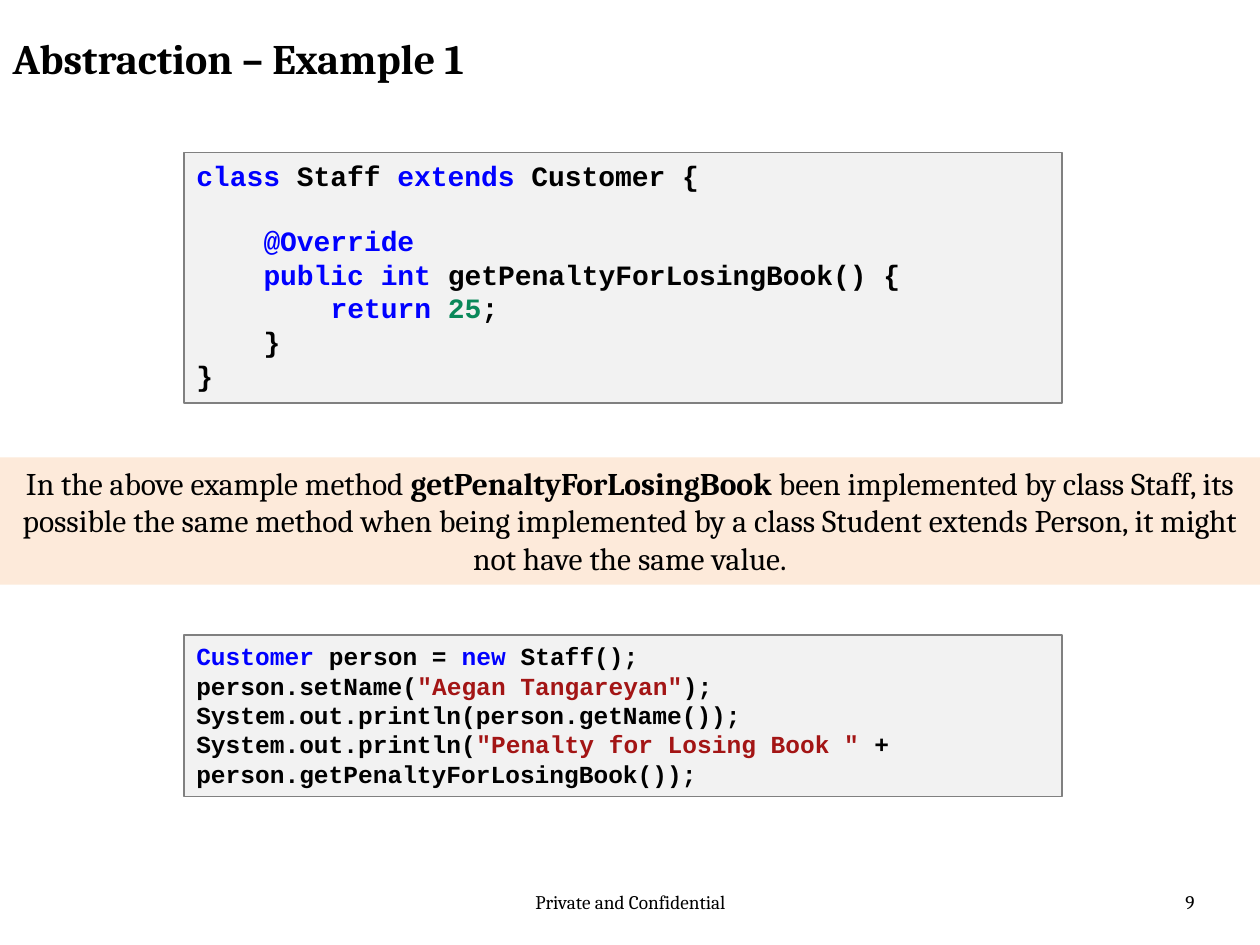
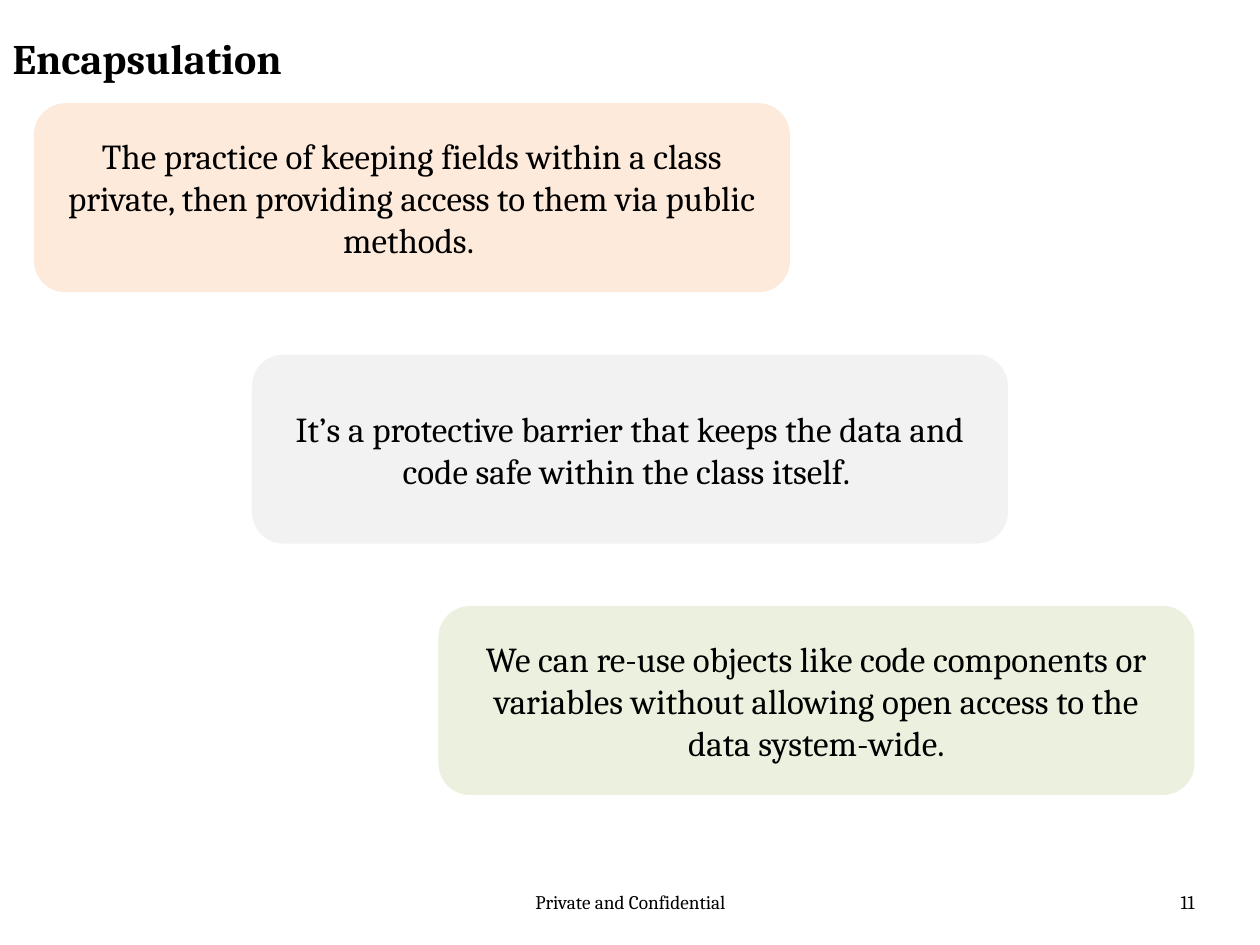
from pptx import Presentation
from pptx.dml.color import RGBColor
from pptx.enum.shapes import MSO_SHAPE as Shape
from pptx.enum.text import MSO_ANCHOR as Anchor, MSO_AUTO_SIZE as AutoSize, PP_ALIGN as Align
from pptx.util import Inches, Pt

WIDTH, HEIGHT = Inches(10), Inches(7.5)
TITLE_ONLY = 5

BLACK = RGBColor(0x00, 0x00, 0x00)
KEYWORD = RGBColor(0x00, 0x00, 0xFF)
NUMBER = RGBColor(0x09, 0x88, 0x5A)
STRING = RGBColor(0xA3, 0x15, 0x15)
PEACH = RGBColor(0xFD, 0xEA, 0xDA)
PALE_GREY = RGBColor(0xF2, 0xF2, 0xF2)
PALE_GREEN = RGBColor(0xEB, 0xF1, 0xDE)
BORDER = RGBColor(0x80, 0x80, 0x80)

BODY_FONT, CODE_FONT = "Cambria", "Courier New"
CODE_CHAR = 0.6  # width of one code character, as a share of the text size
TAB = 4  # characters per indent level

# Areas: left, top, width, height in percent of the slide
TITLE_AREA = (0, 2.27, 75.8, 8.27)
FOOTER_AREA = (34.2, 93.6, 31.7, 5.33)
PAGE_AREA = (72.5, 93.6, 23.3, 5.33)
CLASS_AREA = (14.6, 16.13, 69.7, 26.53)
USAGE_AREA = (14.6, 67.2, 69.7, 17.07)
REMARK_AREA = (0, 48.4, 100, 13.47)
CARD_TOP, CARD_STEP, CARD_WIDTH, CARD_HEIGHT = 10.93, 26.6, 60, 20

# Code lines: indent level, blank lines above, pieces of (text, colour)
CLASS_CODE = [
    (0, 0, [("class", KEYWORD), (" Staff ", BLACK), ("extends", KEYWORD), (" Customer {", BLACK)]),
    (1, 1, [("@Override", KEYWORD)]),
    (1, 0, [("public int", KEYWORD), (" getPenaltyForLosingBook() {", BLACK)]),
    (2, 0, [("return ", KEYWORD), ("25", NUMBER), (";", BLACK)]),
    (1, 0, [("}", BLACK)]),
    (0, 0, [("}", BLACK)]),
]
USAGE_CODE = [
    (0, 0, [("Customer", KEYWORD), (" person = ", BLACK), ("new", KEYWORD), (" Staff();", BLACK)]),
    (0, 0, [("person.setName(", BLACK), ('"Aegan Tangareyan"', STRING), (");", BLACK)]),
    (0, 0, [("System.out.println(person.getName());", BLACK)]),
    (0, 0, [("System.out.println(", BLACK), ('"Penalty for Losing Book "', STRING),
            (" + person.getPenaltyForLosingBook());", BLACK)]),
]
REMARK = [
    ("In the above example method ", False),
    ("getPenaltyForLosingBook ", True),
    ("been implemented by class Staff, its possible the same method when being implemented "
     "by a class Student extends Person, it might not have the same value.", False),
]
# Cards: left, fill, text
CARDS = [
    (2.7, PEACH, "The practice of keeping fields within a class private, then providing "
                 "access to them via public methods. "),
    (20, PALE_GREY, "It’s a protective barrier that keeps the data and code safe within "
                    "the class itself. "),
    (34.8, PALE_GREEN, "We can re-use objects like code components or variables without "
                       "allowing open access to the data system-wide."),
]


def place(area):
    """Turn percentages of the slide into lengths."""
    return [round(share * side / 100) for share, side in zip(area, (WIDTH, HEIGHT) * 2)]


def apply(target, formats):
    for attribute, value in formats.items():
        setattr(target, attribute, value)


def add_run(paragraph, text, size, colour=BLACK, bold=False, font=BODY_FONT):
    run = paragraph.add_run()
    run.text = text
    apply(run.font, {"name": font, "size": Pt(size), "bold": bold})
    run.font.color.rgb = colour


def set_frame(shape, anchor):
    frame = shape.text_frame
    apply(frame, {"word_wrap": True, "auto_size": AutoSize.NONE, "vertical_anchor": anchor})
    return frame


def add_panel(slide, area, fill, kind=Shape.RECTANGLE, anchor=Anchor.TOP, border=None):
    panel = slide.shapes.add_shape(kind, *place(area))
    panel.shadow.inherit = False
    panel.fill.solid()
    panel.fill.fore_color.rgb = fill
    if border is None:
        panel.line.fill.background()
    else:
        panel.line.color.rgb = border
        panel.line.width = Pt(0.75)
    return set_frame(panel, anchor)


def add_label(slide, area, text, align):
    label = slide.shapes.add_textbox(*place(area))
    paragraph = set_frame(label, Anchor.TOP).paragraphs[0]
    paragraph.alignment = align
    add_run(paragraph, text, 11)


def add_page(deck, heading, number):
    """Add a slide with its title, footer and page number."""
    slide = deck.slides.add_slide(deck.slide_layouts[TITLE_ONLY])
    title = slide.shapes.title
    apply(title, dict(zip(("left", "top", "width", "height"), place(TITLE_AREA))))
    paragraph = set_frame(title, Anchor.MIDDLE).paragraphs[0]
    apply(paragraph, {"alignment": Align.LEFT, "line_spacing": 0.9})
    add_run(paragraph, heading, 24, bold=True)
    add_label(slide, FOOTER_AREA, "Private and Confidential", Align.CENTER)
    add_label(slide, PAGE_AREA, str(number), Align.RIGHT)
    return slide


def add_code(slide, area, lines, size):
    frame = add_panel(slide, area, PALE_GREY, border=BORDER)
    for row, (level, blanks, pieces) in enumerate(lines):
        paragraph = frame.add_paragraph() if row else frame.paragraphs[0]
        apply(paragraph, {"alignment": Align.LEFT, "space_before": Pt(blanks * size * 1.13)})
        indent = Pt(level * TAB * CODE_CHAR * size)
        paragraph._p.get_or_add_pPr().set("marL", str(indent))
        for text, colour in pieces:
            add_run(paragraph, text, size, colour, True, CODE_FONT)


def add_statement(frame, pieces, size):
    paragraph = frame.paragraphs[0]
    paragraph.alignment = Align.CENTER
    for text, bold in pieces:
        add_run(paragraph, text, size, bold=bold)


def main():
    deck = Presentation()
    apply(deck, {"slide_width": WIDTH, "slide_height": HEIGHT})

    # Abstraction: class, remark and usage
    abstraction = add_page(deck, "Abstraction – Example 1", 9)
    add_code(abstraction, CLASS_AREA, CLASS_CODE, 16)
    add_code(abstraction, USAGE_AREA, USAGE_CODE, 14)
    add_statement(add_panel(abstraction, REMARK_AREA, PEACH), REMARK, 18)

    # Encapsulation: a staircase of cards
    encapsulation = add_page(deck, "Encapsulation", 11)
    for step, (left, fill, text) in enumerate(CARDS):
        area = (left, CARD_TOP + step * CARD_STEP, CARD_WIDTH, CARD_HEIGHT)
        card = add_panel(encapsulation, area, fill, Shape.ROUNDED_RECTANGLE, Anchor.MIDDLE)
        add_statement(card, [(text, False)], 20)

    deck.save("out.pptx")


if __name__ == "__main__":
    main()
